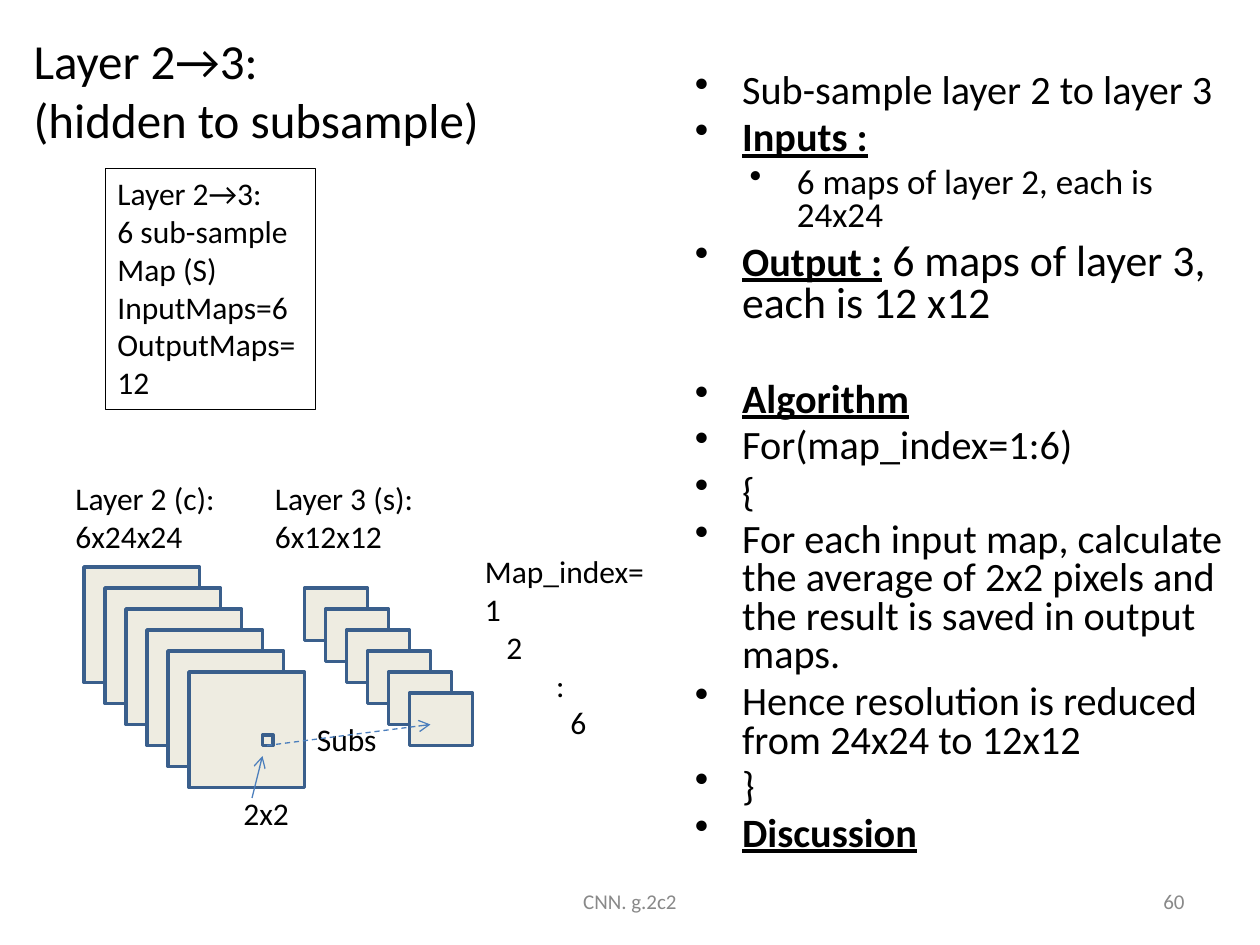
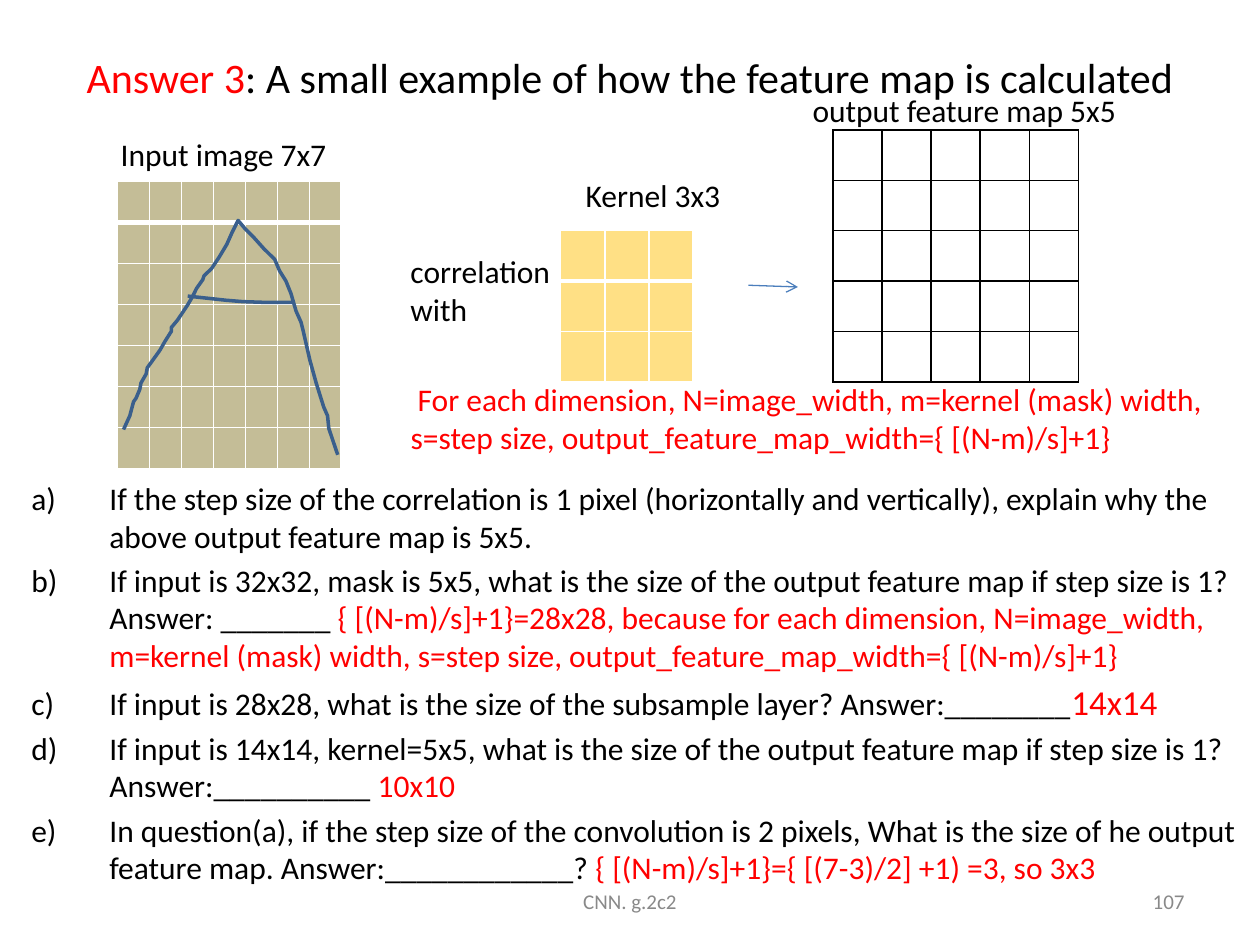
from dataclasses import dataclass

from lxml import etree
from pptx import Presentation
from pptx import util as u
from pptx.dml.color import RGBColor
from pptx.enum import dml, shapes, text
from pptx.oxml.ns import qn


@dataclass(frozen=True)
class Theme:
    font: str = "Calibri"
    ink: str = "000000"
    answer: str = "FF0000"
    footer_grey: str = "898989"
    map_fill: str = "EEECE1"
    outline: str = "3A5F8C"
    arrow: str = "4B7EBC"
    image_fill: str = "C4BD97"
    kernel_fill: str = "FFC000"
    grid_white: str = "FFFFFF"
    heading: int = 28
    question_heading: int = 24
    output: int = 25
    notes: int = 23
    detail: int = 20
    body: int = 18
    footer: int = 12


theme = Theme()


def write(frame, lines, size=theme.body, color=theme.ink):
    frame.word_wrap = True
    frame.auto_size = text.MSO_AUTO_SIZE.NONE
    for i, line in enumerate(lines):
        paragraph = frame.paragraphs[0] if i == 0 else frame.add_paragraph()
        styles = []
        if isinstance(line, str):
            paragraph.text = line
        else:
            for words, style in line:
                paragraph.add_run().text = words
                styles.append(style)
        for j, run in enumerate(paragraph.runs):
            style = styles[j] if styles else {}
            run.font.name = theme.font
            run.font.size = u.Pt(style.get("size", size))
            run.font.bold = run.font.underline = style.get("strong", False)
            run.font.color.rgb = RGBColor.from_string(style.get("color", color))
    return frame


def hang(paragraph, left, hanging, marker, **settings):
    properties = paragraph._p.get_or_add_pPr()
    properties.set("marL", str(u.Pt(left)))
    properties.set("indent", str(u.Pt(-hanging)))
    etree.SubElement(properties, qn(marker), **settings)


deck = Presentation()
deck.slide_width, deck.slide_height = u.Pt(720), u.Pt(540)
left_align, centre, right_align = text.PP_ALIGN.LEFT, text.PP_ALIGN.CENTER, text.PP_ALIGN.RIGHT
red = {"color": theme.answer}
strong = {"strong": True}

headings = [
    ((12, 6, 648, 90), "Layer 2→3:\v(hidden to subsample)", theme.heading, left_align, "60"),
    ((36, 21.6, 648, 44.6),
     [("Answer 3", red), (": A small example of how the feature map is calculated", {})],
     theme.question_heading, centre, "107"),
]
for box, heading, size, alignment, page in headings:
    slide = deck.slides.add_slide(deck.slide_layouts[5])
    title = slide.shapes.title
    title.left, title.top, title.width, title.height = map(u.Pt, box)
    write(title.text_frame, [heading], size)
    title.text_frame.vertical_anchor = text.MSO_ANCHOR.MIDDLE
    title.text_frame.paragraphs[0].alignment = alignment
    for left, width, words, side in [(246, 228, "CNN. g.2c2", centre), (516, 168, page, right_align)]:
        footer = slide.shapes.add_textbox(u.Pt(left), u.Pt(500.4), u.Pt(width), u.Pt(28.8)).text_frame
        write(footer, [words], theme.footer, theme.footer_grey)
        footer.vertical_anchor = text.MSO_ANCHOR.MIDDLE
        footer.paragraphs[0].alignment = side
subsample, answer = deck.slides

layer_2 = [(48 + 12 * i, 324 + 12 * i, 66, 66) for i in range(6)]
layer_3 = [(174 + 12 * i, 336 + 12 * i, 36, 30) for i in range(6)]
pixel_window = (150, 420, 6, 6)
for box in layer_2 + layer_3 + [pixel_window]:
    feature_map = subsample.shapes.add_shape(shapes.MSO_SHAPE.RECTANGLE, *map(u.Pt, box))
    feature_map.shadow.inherit = False
    feature_map.fill.solid()
    feature_map.fill.fore_color.rgb = RGBColor.from_string(theme.map_fill)
    feature_map.line.color.rgb = RGBColor.from_string(theme.outline)
    feature_map.line.width = u.Pt(2)

summary = subsample.shapes.add_textbox(u.Pt(60), u.Pt(96), u.Pt(120), u.Pt(138))
summary.line.color.rgb = RGBColor.from_string(theme.ink)
summary.line.width = u.Pt(0.25)
write(summary.text_frame, ["Layer 2→3:", "6 sub-sample", "Map (S)", "InputMaps=6", "OutputMaps=12"])

steps = [
    "Sub-sample layer 2 to layer 3",
    [("Inputs :", strong)],
    [("6 maps of layer 2, each is 24x24", {"size": theme.detail})],
    [("Output :", strong), (" 6 maps of layer 3, each is 12 x12", {"size": theme.output})],
    [("Algorithm", strong)],
    "For(map_index=1:6)",
    "{",
    "For each input map, calculate the average of 2x2 pixels and the result is saved in output maps.",
    "Hence resolution is reduced from 24x24 to 12x12",
    "}",
    [("Discussion", strong)],
]
notes = subsample.shapes.add_textbox(u.Pt(390), u.Pt(38.8), u.Pt(324), u.Pt(501)).text_frame
write(notes, steps, theme.notes)
detail_row, algorithm_row = 2, 4
for i, paragraph in enumerate(notes.paragraphs):
    hang(paragraph, 58.3 if i == detail_row else 27, 27, "a:buChar", char="•")
    paragraph.level = 1 if i == detail_row else 0
    paragraph.line_spacing = 0.8
    if i:
        paragraph.space_before = u.Pt(31.8 if i == algorithm_row else 4.6)

map_index = subsample.shapes.add_textbox(u.Pt(270), u.Pt(312), u.Pt(107), u.Pt(117)).text_frame
write(map_index, ["Map_index=", "1", "2", ":", "6"])
for paragraph, indent in zip(map_index.paragraphs, [0, 0, 12.3, 40.7, 48.8]):
    hang(paragraph, indent, 0, "a:buNone")

captions = [
    (subsample, (132, 450, 42, 29), ["2x2"]),
    (subsample, (174, 408, 50, 29), ["Subs"]),
    (subsample, (150, 270, 95, 51), ["Layer 3 (s):", "6x12x12"]),
    (subsample, (36, 270, 96, 51), ["Layer 2 (c):", "6x24x24"]),
    (answer, (227.5, 140.4, 97, 51), ["correlation", "with"]),
    (answer, (327.6, 97.2, 93, 29), ["Kernel 3x3"]),
    (answer, (457.2, 48.2, 192, 29), ["output feature map 5x5"]),
    (answer, (61.9, 73.4, 134, 29), ["Input image 7x7"]),
]
for slide, box, lines in captions:
    write(slide.shapes.add_textbox(*map(u.Pt, box)).text_frame, lines)

formula = answer.shapes.add_textbox(u.Pt(227.5), u.Pt(213.8), u.Pt(468.7), u.Pt(51)).text_frame
write(formula, [" For each dimension, N=image_width, m=kernel (mask) width, s=step size, "
                "output_feature_map_width={ [(N-m)/s]+1}"], color=theme.answer)

questions = [
    "If the step size of the correlation is 1 pixel (horizontally and vertically), "
    "explain why the above output feature map is 5x5.",
    [("If input is 32x32, mask is 5x5, what is the size of the output feature map "
      "if step size is 1? Answer: _______ ", {}),
     ("{ [(N-m)/s]+1}=28x28, because for each dimension, N=image_width, m=kernel (mask) width, "
      "s=step size, output_feature_map_width={ [(N-m)/s]+1}", red)],
    [("If input is 28x28, what is the size of the subsample layer? Answer:________", {}),
     ("14x14", {"size": theme.detail, **red})],
    [("If input is 14x14, kernel=5x5, what is the size of the output feature map "
      "if step size is 1? Answer:__________ ", {}),
     ("10x10", red)],
    [("In question(a), if the step size of the convolution is 2 pixels, What is the size of "
      "he output feature map. Answer:____________? ", {}),
     ("{ [(N-m)/s]+1}={ [(7-3)/2] +1) =3, so 3x3", red)],
]
exercise = answer.shapes.add_textbox(u.Pt(10.8), u.Pt(270), u.Pt(703.4), u.Pt(234)).text_frame
write(exercise, questions)
for i, paragraph in enumerate(exercise.paragraphs):
    hang(paragraph, 44.64, 44.64, "a:buAutoNum", type="alphaLcParenR")
    if i:
        paragraph.space_before = u.Pt(3.6)

grids = [
    (7, (67, 103.7, 128.1, 164.15), theme.image_fill, 100, theme.grid_white, 3),
    (3, (320.4, 131.8, 75.6, 86.4), theme.kernel_fill, 48, theme.grid_white, 3),
    (5, (475.9, 74.2, 140.4, 144), None, 100, theme.ink, 1),
]
for count, box, fill, opacity, border, first_rule in grids:
    grid = answer.shapes.add_table(count, count, *map(u.Pt, box)).table
    grid.first_row = grid.horz_banding = False
    for i in range(count):
        grid.columns[i].width = u.Pt(box[2] / count)
        grid.rows[i].height = u.Pt(box[3] / count)
        for cell in grid.rows[i].cells:
            cell.margin_top = cell.margin_bottom = 0
            properties = cell._tc.get_or_add_tcPr()
            for side in ("a:lnL", "a:lnR", "a:lnT", "a:lnB"):
                weight = first_rule if i == 0 and side == "a:lnB" else 1
                edge = etree.SubElement(properties, qn(side), w=str(u.Pt(weight)))
                paint = etree.SubElement(edge, qn("a:solidFill"))
                etree.SubElement(paint, qn("a:srgbClr"), val=border)
            if fill is None:
                cell.fill.background()
                continue
            cell.fill.solid()
            cell.fill.fore_color.rgb = RGBColor.from_string(fill)
            if opacity < 100:
                tint = properties.find(qn("a:solidFill")).find(qn("a:srgbClr"))
                etree.SubElement(tint, qn("a:alpha"), val=str(opacity * 1000))

letter_legs = [
    (70.6, 245.5), (74.2, 237.6), (76.3, 229.7), (77.8, 227.5), (79.9, 222.5), (80.6, 218.9),
    (83.5, 213.8), (84.2, 210.2), (87.8, 205.2), (91.4, 200.2), (94.3, 195.1), (97.9, 189.4),
    (97.9, 187.2), (101.5, 182.9), (104.4, 178.6), (107.3, 174.2), (110.2, 169.2), (112.3, 164.9),
    (115.9, 159.8), (116.6, 157.7), (121, 153.4), (125.3, 146.9), (129.6, 139.7), (132.5, 133.2),
    (136.1, 126), (139.7, 130.3), (145.4, 136.1), (150.5, 141.8), (157, 148.3), (159.8, 154.8),
    (163.4, 160.6), (166.3, 167.8), (169.2, 177.8), (172.1, 184.3), (173.5, 190.1), (177.1, 205.9),
    (180.7, 218.9), (185, 232.6), (187.2, 237.6), (187.9, 244.8), (190.8, 253.4), (193, 259.9),
]
letter_bar = [(107.3, 169.2), (129.3, 171.6), (139, 172.4), (152, 172.8), (167, 172.8)]
for stroke in (letter_legs, letter_bar):
    points = [(u.Pt(x), u.Pt(y)) for x, y in stroke]
    builder = answer.shapes.build_freeform(*points[0])
    builder.add_line_segments(points[1:], close=False)
    pen = builder.convert_to_shape()
    pen.shadow.inherit = False
    pen.fill.background()
    pen.line.color.rgb = RGBColor.from_string(theme.outline)
    pen.line.width = u.Pt(2)

arrows = [
    (subsample, (152.6, 426, 246, 414), True),
    (subsample, (144, 456, 150, 432), False),
    (answer, (427.7, 163, 456, 164), False),
]
for slide, ends, dashed in arrows:
    arrow = slide.shapes.add_connector(shapes.MSO_CONNECTOR.STRAIGHT, *map(u.Pt, ends))
    arrow.line.color.rgb = RGBColor.from_string(theme.arrow)
    arrow.line.width = u.Pt(0.75)
    if dashed:
        arrow.line.dash_style = dml.MSO_LINE.DASH
    etree.SubElement(arrow.line._get_or_add_ln(), qn("a:tailEnd"), type="arrow")
    etree.SubElement(arrow._element.spPr, qn("a:effectLst"))

deck.save("out.pptx")
